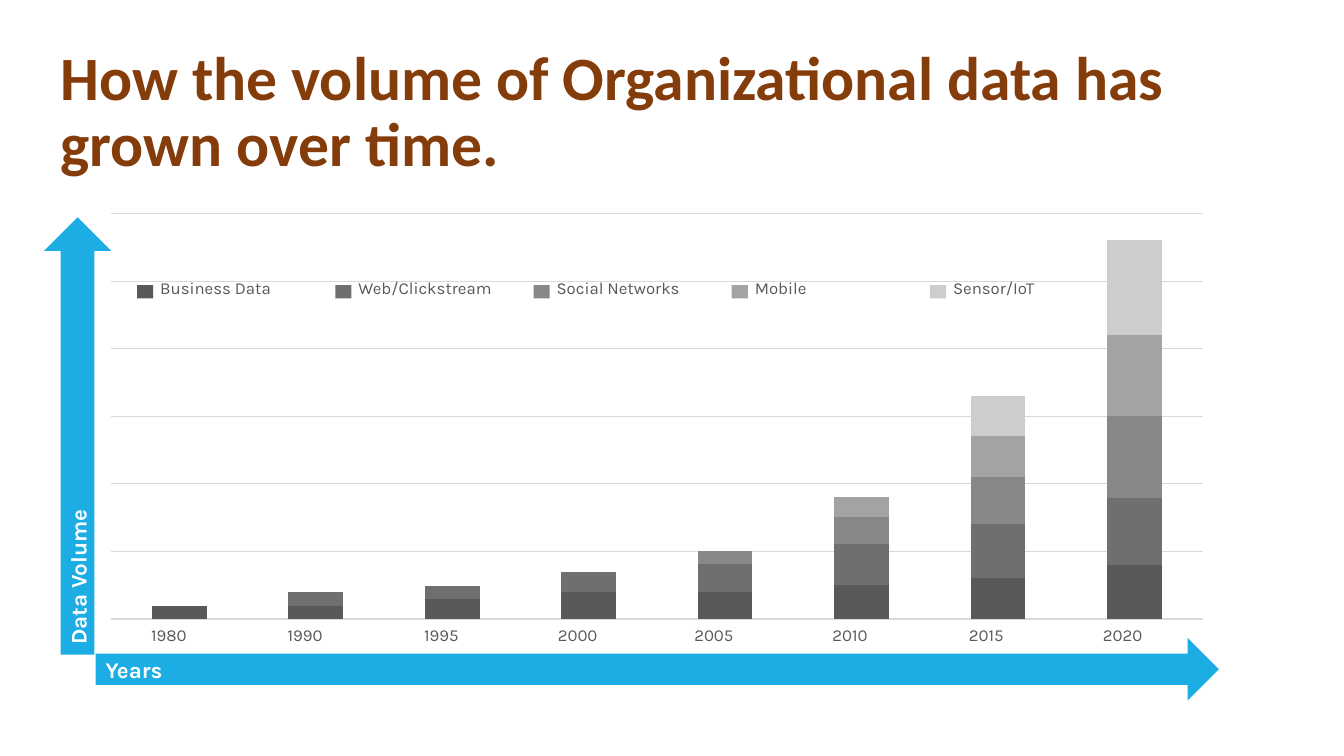
from lxml import etree
from pptx import Presentation
from pptx.chart.data import CategoryChartData
from pptx.dml.color import RGBColor
from pptx.enum.chart import XL_CHART_TYPE
from pptx.enum.shapes import MSO_SHAPE
from pptx.enum.text import MSO_ANCHOR, PP_ALIGN
from pptx.oxml import parse_xml
from pptx.oxml.ns import nsdecls
from pptx.util import Inches, Pt

COLORS = {
    "title": "843C0B",
    "arrow": "1CADE4",
    "label": "595959",
    "grid": "D9D9D9",
    "white": "FFFFFF",
}
SOURCES = [
    ("Business Data", "595959", (14, 14, 21, 29, 29, 36, 43, 57)),
    ("Web/Clickstream", "6F6F6F", (0, 14, 14, 21, 29, 43, 57, 71)),
    ("Social Networks", "888888", (0, 0, 0, 0, 14, 29, 50, 86)),
    ("Mobile", "A3A3A3", (0, 0, 0, 0, 0, 21, 43, 86)),
    ("Sensor/IoT", "CDCDCD", (0, 0, 0, 0, 0, 0, 43, 100)),
]
YEARS = ["1980", "1990", "1995", "2000", "2005", "2010", "2015", "2020"]
GRID_STEP = 71.4
GRID_COUNT = 6


def color(value):
    return RGBColor.from_string(value)


def place(shape, left, top, width, height):
    shape.left, shape.top = Inches(left), Inches(top)
    shape.width, shape.height = Inches(width), Inches(height)


def write(shape, text, size, font_name, font_color, bold=False, align=PP_ALIGN.LEFT):
    shape.text_frame.word_wrap = True
    paragraph = shape.text_frame.paragraphs[0]
    paragraph.alignment = align
    run = paragraph.add_run()
    run.text = text
    run.font.size = Pt(size)
    run.font.name = font_name
    run.font.bold = bold
    run.font.color.rgb = color(font_color)
    return paragraph


def add_filled(slide, kind, left, top, width, height, fill):
    shape = slide.shapes.add_shape(
        kind, Inches(left), Inches(top), Inches(width), Inches(height))
    shape.shadow.inherit = False
    shape.fill.solid()
    shape.fill.fore_color.rgb = color(fill)
    shape.line.fill.background()
    return shape


def add_label(slide, text, left, top, width, height, align=PP_ALIGN.LEFT):
    box = slide.shapes.add_textbox(
        Inches(left), Inches(top), Inches(width), Inches(height))
    write(box, text, 12, "Karla", COLORS["label"], align=align)


def add_title(slide, left, top, width, height):
    title = slide.shapes.title
    place(title, left, top, width, height)
    title.text_frame.vertical_anchor = MSO_ANCHOR.MIDDLE
    paragraph = write(
        title, "How the volume of Organizational data has grown over time.",
        44, "Calibri", COLORS["title"], bold=True)
    paragraph.line_spacing = 0.9


def set_plot_layout(chart, x, y, width, height):
    plot_area = chart.plots[0]._element.getparent()
    for layout in plot_area.findall("{*}layout"):
        plot_area.remove(layout)
    layout = parse_xml(
        f'<c:layout {nsdecls("c")}><c:manualLayout><c:layoutTarget val="inner"/>'
        '<c:xMode val="edge"/><c:yMode val="edge"/>'
        f'<c:x val="{x}"/><c:y val="{y}"/><c:w val="{width}"/><c:h val="{height}"/>'
        '</c:manualLayout></c:layout>')
    plot_area.insert(0, layout)


def add_volume_chart(slide, left, top, width, height):
    data = CategoryChartData()
    data.categories = [str(number) for number in range(1, len(YEARS) + 1)]
    for number, (name, fill, values) in enumerate(SOURCES, 1):
        data.add_series(f"Series {number}", values)
    chart = slide.shapes.add_chart(
        XL_CHART_TYPE.COLUMN_STACKED, Inches(left), Inches(top),
        Inches(width), Inches(height), data).chart
    chart.has_legend = False
    chart.has_title = False
    chart.font.size = Pt(10)
    chart.font.name = "Karla"
    chart.font.color.rgb = color(COLORS["label"])
    plot = chart.plots[0]
    plot.vary_by_categories = False
    plot.gap_width = 150
    plot.overlap = 100
    for series, (name, fill, values) in zip(plot.series, SOURCES):
        series.format.fill.solid()
        series.format.fill.fore_color.rgb = color(fill)
    chart.category_axis.visible = False
    axis = chart.value_axis
    axis.visible = False
    axis.minimum_scale = 0
    axis.maximum_scale = round(GRID_STEP * GRID_COUNT, 1)
    axis.major_unit = GRID_STEP
    axis.has_major_gridlines = True
    axis.major_gridlines.format.line.color.rgb = color(COLORS["grid"])
    axis.major_gridlines.format.line.width = Pt(0.75)
    set_plot_layout(chart, 0.018, 0.035, 0.965, 0.833)


def add_axis_arrow(slide, text, left, top, width, height, rotation=0):
    arrow = add_filled(slide, MSO_SHAPE.RIGHT_ARROW, left, top, width, height,
                       COLORS["arrow"])
    arrow.rotation = rotation
    arrow.text_frame.vertical_anchor = MSO_ANCHOR.MIDDLE
    write(arrow, text, 16, "Karla", COLORS["white"], bold=True)


def add_legend(slide, left, top, width):
    pitch = width / len(SOURCES)
    for index, (name, fill, values) in enumerate(SOURCES):
        x = left + index * pitch
        add_label(slide, name, x + 0.13, top, 1.78, 0.42)
        add_filled(slide, MSO_SHAPE.RECTANGLE, x, top + 0.12, 0.16, 0.13, fill)


def add_year_labels(slide, left, top, width, height):
    pitch = width / len(YEARS)
    for index, year in enumerate(YEARS):
        add_label(slide, year, left + index * pitch, top, pitch, height,
                  align=PP_ALIGN.CENTER)


def main():
    presentation = Presentation()
    presentation.slide_width = Inches(13.33)
    presentation.slide_height = Inches(7.5)
    slide = presentation.slides.add_slide(presentation.slide_layouts[5])
    add_title(slide, 0.5, 0.4, 12.29, 1.45)
    add_volume_chart(slide, 0.9, 1.95, 11.22, 4.83)
    add_axis_arrow(slide, "Data Volume", -1.4, 3.99, 4.34, 0.67, rotation=270)
    add_axis_arrow(slide, "Years", 0.95, 6.33, 11.14, 0.62)
    add_legend(slide, 1.36, 2.71, 9.83)
    add_year_labels(slide, 1, 6.15, 10.81, 0.43)
    presentation.save("out.pptx")


if __name__ == "__main__":
    main()
